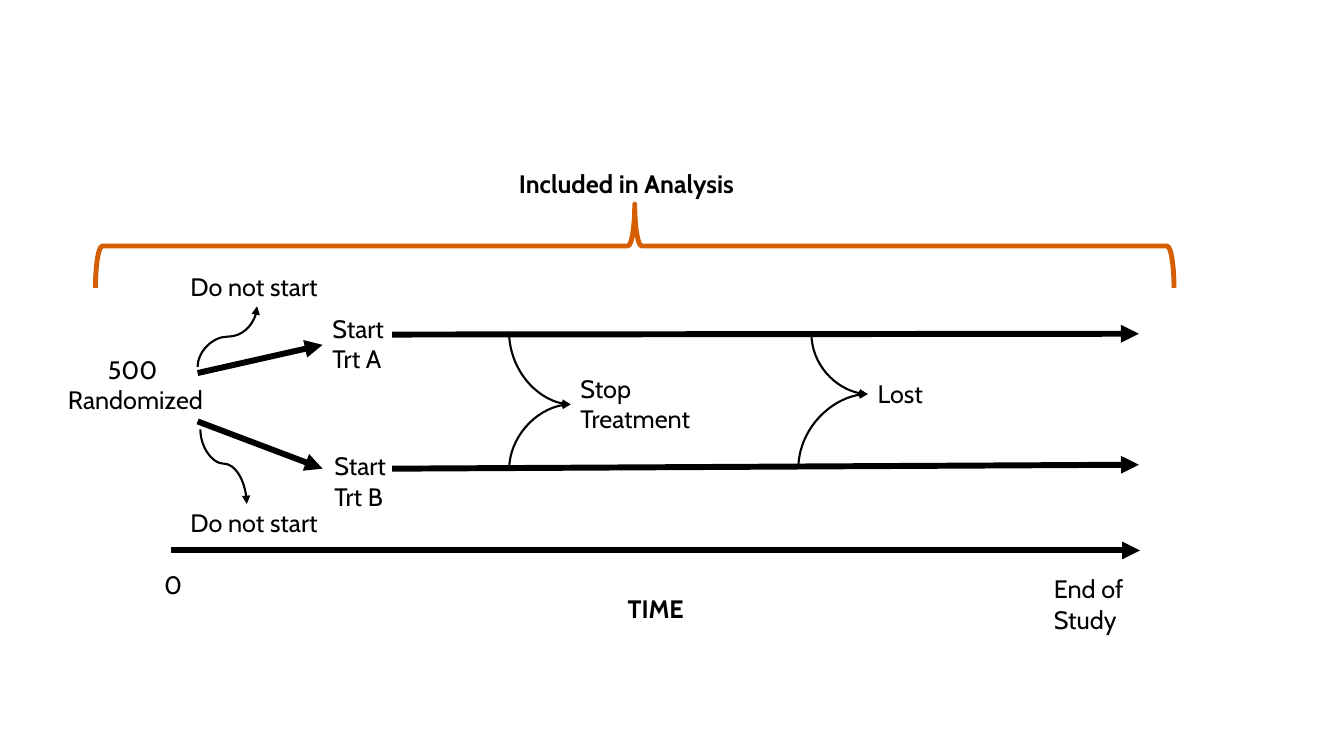
from lxml import etree
from pptx import Presentation
from pptx.dml.color import RGBColor
from pptx.enum.shapes import MSO_CONNECTOR, MSO_SHAPE
from pptx.enum.text import MSO_AUTO_SIZE, PP_ALIGN
from pptx.oxml.ns import qn
from pptx.util import Cm, Pt

STRAIGHT = MSO_CONNECTOR.STRAIGHT
CURVE = MSO_CONNECTOR.CURVE
BRACE = MSO_SHAPE.LEFT_BRACE
GROW = MSO_AUTO_SIZE.SHAPE_TO_FIT_TEXT
LEFT = PP_ALIGN.LEFT
CENTER = PP_ALIGN.CENTER

BLACK = RGBColor(0x00, 0x00, 0x00)
ORANGE = RGBColor(0xD5, 0x5E, 0x00)


class Board:
    font = "Cabin"
    size = Pt(18)
    thick = Pt(4.25)
    thin = Pt(1.5)

    def __init__(self, slide):
        self.shapes = slide.shapes

    def link(self, kind, ends, width):
        line = self.shapes.add_connector(kind, *[Cm(v) for v in ends])
        line.line.color.rgb = BLACK
        line.line.width = width
        props = line._element.spPr
        etree.SubElement(props.find(qn("a:ln")), qn("a:tailEnd"), type="triangle")
        etree.SubElement(props, qn("a:effectLst"))
        return props

    def arrow(self, x1, y1, x2, y2):
        self.link(STRAIGHT, (x1, y1, x2, y2), self.thick)

    def curve(self, x1, y1, x2, y2, bend=None):
        mid_x, mid_y = (x1 + x2) / 2, (y1 + y2) / 2
        half_w, half_h = abs(y2 - y1) / 2, (x2 - x1) / 2
        rises = y2 < y1
        if rises:
            half_h = -half_h
        ends = (mid_x + half_w, mid_y - half_h, mid_x - half_w, mid_y + half_h)
        props = self.link(CURVE, ends, self.thin)
        props.find(qn("a:xfrm")).set("rot", str((90 if rises else 270) * 60000))
        geom = props.find(qn("a:prstGeom"))
        if bend is None:
            geom.set("prst", "curvedConnector2")
        else:
            guides = geom.find(qn("a:avLst"))
            etree.SubElement(guides, qn("a:gd"), name="adj1", fmla=f"val {bend}")

    def label(self, text, x, y, w, wrap=False, bold=False, align=LEFT, h=1.02):
        box = self.shapes.add_textbox(Cm(x), Cm(y), Cm(w), Cm(h))
        frame = box.text_frame
        frame.text = text
        frame.word_wrap = wrap
        frame.auto_size = GROW
        for para in frame.paragraphs:
            para.alignment = align
            for run in para.runs:
                run.font.name = self.font
                run.font.size = self.size
                run.font.bold = bold
                run.font.color.rgb = BLACK

    def brace(self, x, y, w, h):
        shape = self.shapes.add_shape(BRACE, Cm(x), Cm(y), Cm(w), Cm(h))
        shape.rotation = 90
        shape.shadow.inherit = False
        shape.fill.background()
        shape.line.color.rgb = ORANGE
        shape.line.width = Pt(3.5)


def main():
    deck = Presentation()
    deck.slide_width, deck.slide_height = Cm(33.87), Cm(19.05)
    board = Board(deck.slides.add_slide(deck.slide_layouts[6]))

    board.arrow(4.32, 13.87, 28.73, 13.87)
    board.label("0", 3.89, 14.22, 0.86)
    board.label("End of Study", 26.31, 14.33, 3.3, wrap=True, h=1.8)
    board.label("TIME", 15.57, 14.83, 1.93, bold=True)

    board.label("500 \nRandomized", 1.42, 8.81, 3.99, align=CENTER, h=1.8)
    board.arrow(4.98, 9.4, 8.13, 8.69)
    board.arrow(4.98, 10.62, 8.13, 11.81)
    board.label("Start\nTrt A", 8.13, 7.77, 1.85, h=1.8)
    board.label("Start\nTrt B", 8.18, 11.23, 1.85, h=1.8)
    board.arrow(9.88, 8.43, 28.7, 8.41)
    board.arrow(9.88, 11.81, 28.7, 11.71)

    board.curve(4.98, 9.25, 6.48, 7.72, bend=50000)
    board.curve(5.05, 10.82, 6.22, 12.7, bend=46000)
    for y in (12.67, 6.71):
        board.label("Do not start", 4.55, y, 3.84, wrap=True)

    for x, y, tip_x, tip_y in (
        (20.12, 11.81, 21.87, 9.93),
        (12.83, 8.36, 14.38, 10.19),
        (12.83, 11.86, 14.38, 10.19),
        (20.45, 8.41, 21.87, 9.93),
    ):
        board.curve(x, y, tip_x, tip_y)
    board.label("Lost", 21.87, 9.4, 3.84, wrap=True)
    board.label("Stop Treatment", 14.38, 9.27, 3.84, wrap=True, h=1.8)

    board.brace(14.94, -7.39, 2.11, 27.18)
    board.label("Included in Analysis", 12.83, 4.11, 6.35, bold=True)
    deck.save("out.pptx")


if __name__ == "__main__":
    main()
